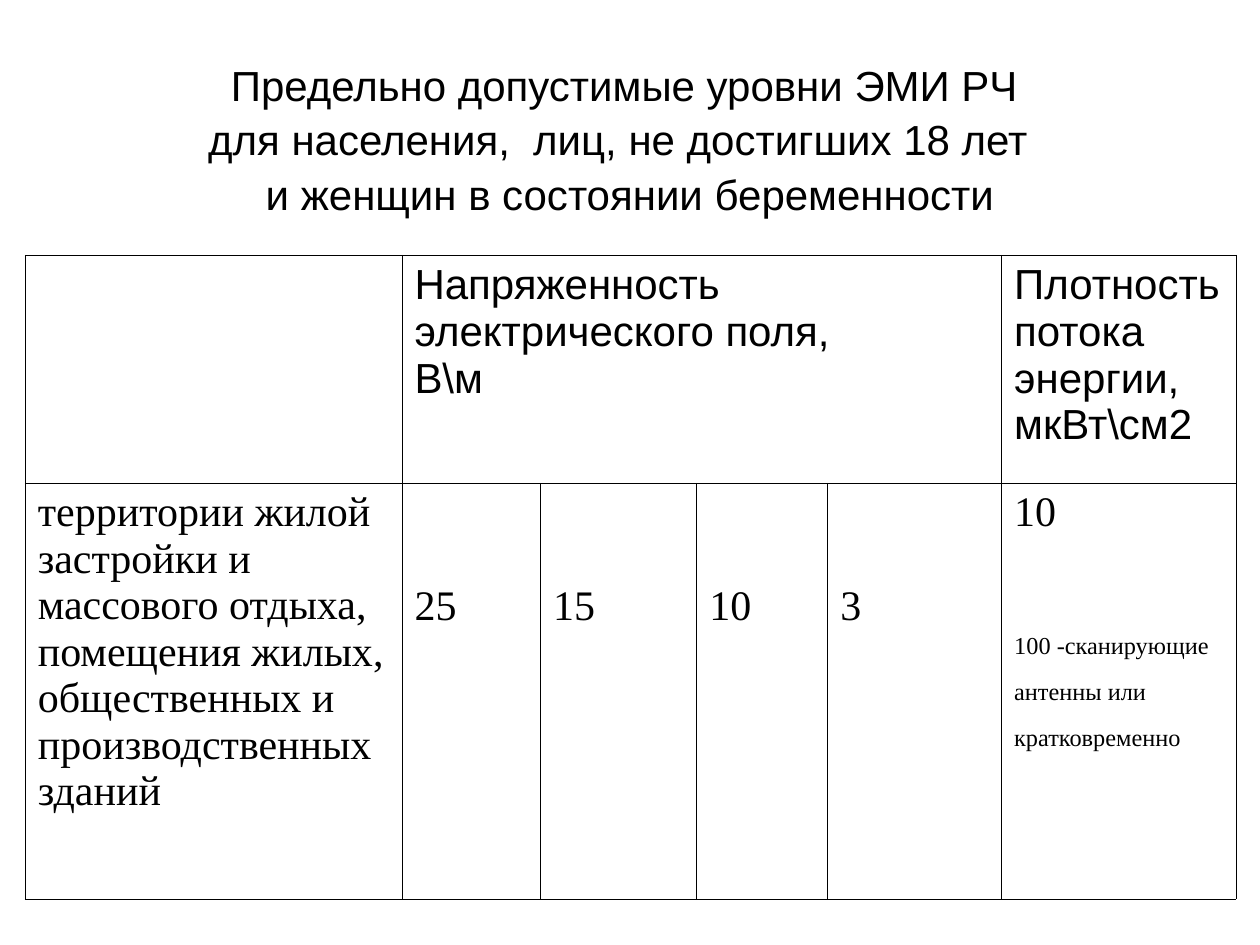
"""Build the slide on permissible levels of radio-frequency radiation."""
from dataclasses import dataclass

import lxml.etree
import pptx
import pptx.dml.color
import pptx.enum.text
import pptx.oxml.ns
import pptx.table
import pptx.text.text
import pptx.util


@dataclass(frozen=True)
class Theme:
    """Fonts, sizes in points and colours."""
    heading_font: str = "Arial"
    body_font: str = "Times New Roman"
    size: float = 24
    rule_width: float = 0.45
    ink: str = "000000"
    paper: str = "FFFFFF"


@dataclass(frozen=True)
class Entry:
    """A table cell with its place, wording and spacing."""
    row: int
    column: int
    lines: tuple[str, ...]
    font: str
    span: int = 1
    lines_above: int = 0
    raised_note: str = ""


THEME = Theme()
WIDTH, HEIGHT = pptx.util.Inches(10), pptx.util.Inches(7.5)
LINE_HEIGHT = pptx.util.Inches(0.37)
INSET = pptx.util.Inches(0.05)
COLUMN_SHARES = (0.3, 0.11, 0.12, 0.1, 0.14, 0.19)
COLUMN_INCHES = (2.99, 1.1, 1.24, 1.04, 1.38, 1.86)
ROW_INCHES = (1.81, 3.3)
FIELD_LIMITS = ("25", "15", "10", "3")
TITLE_LINES = (
    ("Предельно допустимые уровни ЭМИ РЧ", 0.09),
    ("для населения,  лиц, не достигших 18 лет", 0.19),
    ("и женщин в состоянии беременности", 0),
)
ENTRIES = (
    Entry(0, 0, (), THEME.heading_font),
    Entry(0, 1, ("Напряженность электрического поля,", "В\\м"),
          THEME.heading_font, span=len(FIELD_LIMITS)),
    Entry(0, 5, ("Плотность потока энергии,", "мкВт\\см2"), THEME.heading_font),
    Entry(1, 0, ("территории жилой застройки и массового отдыха, помещения жилых, "
                 "общественных и производственных зданий",), THEME.body_font),
    *(Entry(1, column, (limit,), THEME.body_font, lines_above=2)
      for column, limit in enumerate(FIELD_LIMITS, start=1)),
    Entry(1, 5, ("10",), THEME.body_font,
          raised_note="100 -сканирующие антенны или кратковременно"),
)


def style_paragraph(paragraph: pptx.text.text._Paragraph, font_name: str) -> None:
    """Give every run of a paragraph the theme's size and colour."""
    for run in paragraph.runs:
        run.font.name = font_name
        run.font.size = pptx.util.Pt(THEME.size)
        run.font.color.rgb = pptx.dml.color.RGBColor.from_string(THEME.ink)


def rule_cell(cell: pptx.table._Cell) -> None:
    """Fill a cell with paper and rule its four sides."""
    cell.fill.solid()
    cell.fill.fore_color.rgb = pptx.dml.color.RGBColor.from_string(THEME.paper)
    qn = pptx.oxml.ns.qn
    properties = cell._tc.get_or_add_tcPr()
    for position, side in enumerate(("lnL", "lnR", "lnT", "lnB")):
        rule = lxml.etree.Element(qn(f"a:{side}"), w=str(pptx.util.Pt(THEME.rule_width)))
        ink = lxml.etree.SubElement(rule, qn("a:solidFill"))
        lxml.etree.SubElement(ink, qn("a:srgbClr"), val=THEME.ink)
        properties.insert(position, rule)


def write_entry(table: pptx.table.Table, entry: Entry) -> None:
    """Write one entry into its cell, merging columns where it spans them."""
    cell = table.cell(entry.row, entry.column)
    if entry.span > 1:
        cell.merge(table.cell(entry.row, entry.column + entry.span - 1))
    cell.margin_top = INSET + entry.lines_above * LINE_HEIGHT
    cell.text_frame.text = "\n".join(entry.lines)
    if entry.raised_note:
        note = cell.text_frame.add_paragraph()
        note.text = entry.raised_note
        note.space_before = 2 * LINE_HEIGHT
        note.runs[0].font._element.set("baseline", "30000")
    for paragraph in cell.text_frame.paragraphs:
        style_paragraph(paragraph, entry.font)


def write_title(title: pptx.shapes.placeholder.SlidePlaceholder) -> None:
    """Place the title and balance its centred lines with right indents."""
    title.left, title.top = 0, round(HEIGHT * 0.052)
    title.width, title.height = WIDTH, pptx.util.Inches(1.3)
    frame = title.text_frame
    frame.text = "\n".join(line for line, _ in TITLE_LINES)
    frame.word_wrap = True
    frame.auto_size = pptx.enum.text.MSO_AUTO_SIZE.NONE
    frame.vertical_anchor = pptx.enum.text.MSO_ANCHOR.TOP
    for paragraph, (_, indent) in zip(frame.paragraphs, TITLE_LINES):
        paragraph.alignment = pptx.enum.text.PP_ALIGN.CENTER
        paragraph.line_spacing = 1.08
        paragraph._p.get_or_add_pPr().set("marR", str(pptx.util.Inches(indent)))
        style_paragraph(paragraph, THEME.heading_font)


def add_limits_table(slide: pptx.slide.Slide) -> None:
    """Add the ruled table of limits."""
    table = slide.shapes.add_table(
        len(ROW_INCHES), len(COLUMN_INCHES), round(WIDTH * 0.02), round(HEIGHT * 0.27),
        pptx.util.Inches(sum(COLUMN_INCHES)), pptx.util.Inches(sum(ROW_INCHES))).table
    table.first_row = table.horz_banding = False
    for column, width in zip(table.columns, COLUMN_INCHES):
        column.width = pptx.util.Inches(width)
    for row, height in zip(table.rows, ROW_INCHES):
        row.height = pptx.util.Inches(height)
    for cell in table.iter_cells():
        rule_cell(cell)
    for entry in ENTRIES:
        write_entry(table, entry)


def main() -> None:
    """Build and save the presentation."""
    presentation = pptx.Presentation()
    presentation.slide_width, presentation.slide_height = WIDTH, HEIGHT
    slide = presentation.slides.add_slide(presentation.slide_layouts[5])
    write_title(slide.shapes.title)
    add_limits_table(slide)
    presentation.save("out.pptx")


if __name__ == "__main__":
    main()
